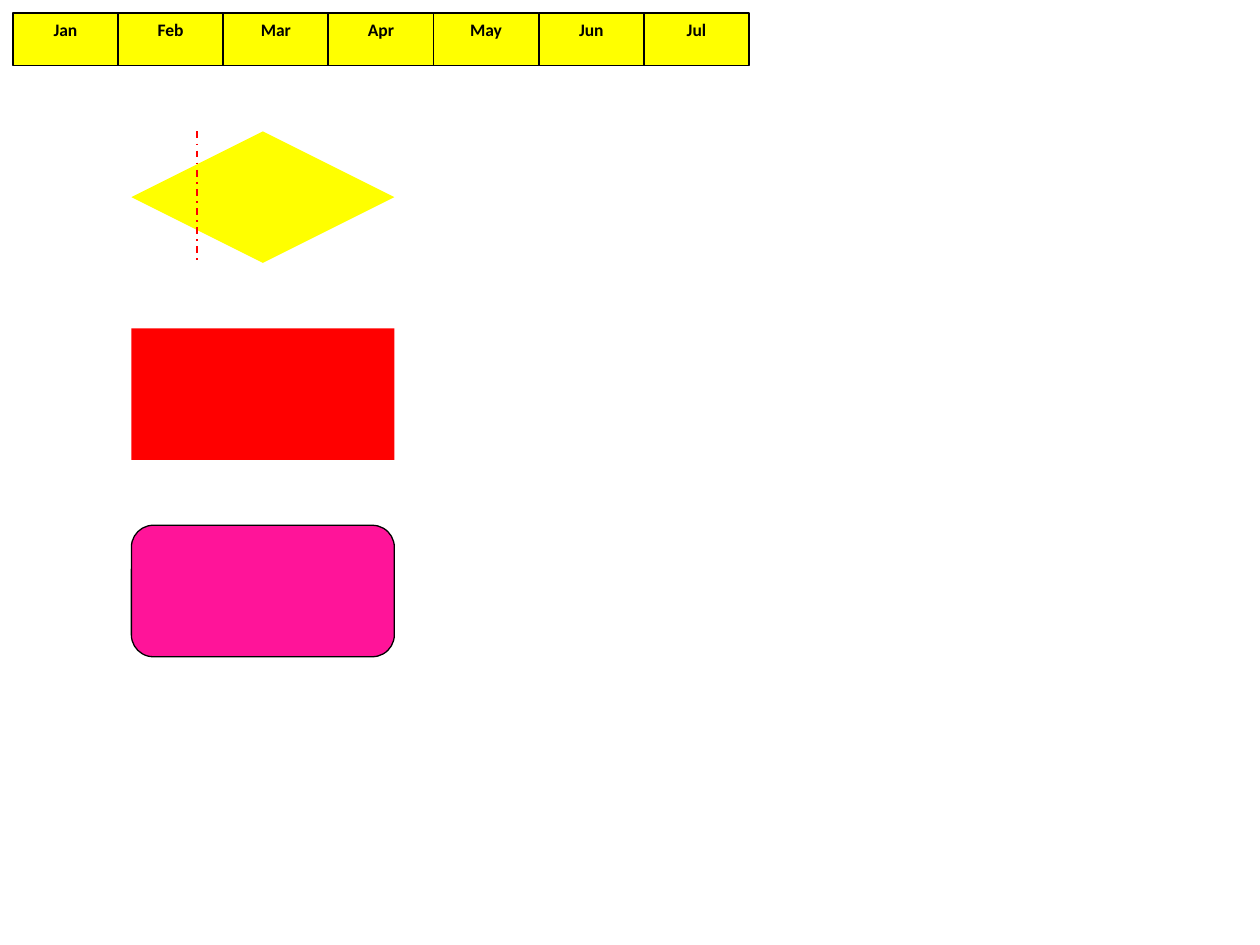
from dataclasses import dataclass

import pptx
import pptx.dml.color
import pptx.enum.dml
import pptx.enum.shapes
import pptx.enum.text
import pptx.oxml
import pptx.util

Cm = pptx.util.Cm
Kind = pptx.enum.shapes.MSO_SHAPE

HUES = {"yellow": "FFFF00", "red": "FF0000", "pink": "FF1499", "black": "000000"}
MONTHS = ["Jan", "Feb", "Mar", "Apr", "May", "Jun", "Jul"]
EDGE, WIDE, TALL = 0.26, 2.12, 1.06
LEFT, STEP = 2.65, 3.97
FONT = {"name": "Calibri", "size": pptx.util.Pt(10), "bold": True}
FRAME = {
    "word_wrap": True,
    "vertical_anchor": pptx.enum.text.MSO_ANCHOR.TOP,
    "auto_size": pptx.enum.text.MSO_AUTO_SIZE.SHAPE_TO_FIT_TEXT,
}
DASH = {
    "width": pptx.util.Pt(1),
    "dash_style": pptx.enum.dml.MSO_LINE.DASH_DOT,
}


@dataclass
class Box:
    kind: Kind
    left: float
    top: float
    width: float
    height: float
    fill: str
    line: float = 0
    text: str = ""


def hue(name: str) -> pptx.dml.color.RGBColor:
    return pptx.dml.color.RGBColor.from_string(HUES[name])


def apply(target: object, values: dict) -> None:
    for key, value in values.items():
        setattr(target, key, value)


def label(shape: pptx.shapes.autoshape.Shape, text: str) -> None:
    frame = shape.text_frame
    apply(frame, FRAME)
    para = frame.paragraphs[0]
    para.alignment = pptx.enum.text.PP_ALIGN.CENTER
    run = para.add_run()
    run.text = text
    apply(run.font, FONT)
    run.font.color.rgb = hue("black")


def draw(slide: pptx.slide.Slide, box: Box) -> None:
    place = map(Cm, (box.left, box.top, box.width, box.height))
    shape = slide.shapes.add_shape(box.kind, *place)
    shape.shadow.inherit = False
    shape.fill.solid()
    shape.fill.fore_color.rgb = hue(box.fill)
    if box.line:
        shape.line.color.rgb = hue("black")
        shape.line.width = pptx.util.Pt(box.line)
    else:
        shape.line.fill.background()
    if box.text:
        label(shape, box.text)


def mark(slide: pptx.slide.Slide, left: float, top: float, end: float) -> None:
    line = slide.shapes.add_connector(
        pptx.enum.shapes.MSO_CONNECTOR.STRAIGHT, Cm(left), Cm(top), Cm(left), Cm(end)
    )
    line.line.color.rgb = hue("red")
    apply(line.line, DASH)
    props = line.element.spPr
    props.append(props.makeelement(pptx.oxml.ns.qn("a:effectLst"), {}))


def main() -> None:
    deck = pptx.Presentation()
    apply(deck, {"slide_width": Cm(25.4), "slide_height": Cm(19.05)})
    slide = deck.slides.add_slide(deck.slide_layouts[6])
    for i, month in enumerate(MONTHS):
        left = EDGE + i * WIDE
        draw(slide, Box(Kind.RECTANGLE, left, EDGE, WIDE, TALL, "yellow", 1, month))
    forms = [
        (Kind.DIAMOND, "yellow", 0),
        (Kind.RECTANGLE, "red", 0),
        (Kind.ROUNDED_RECTANGLE, "pink", 0.75),
    ]
    for i, (kind, fill, line) in enumerate(forms):
        draw(slide, Box(kind, LEFT, LEFT + i * STEP, 2 * LEFT, LEFT, fill, line))
    mark(slide, STEP, LEFT, 2 * LEFT)
    deck.save("out.pptx")


if __name__ == "__main__":
    main()
